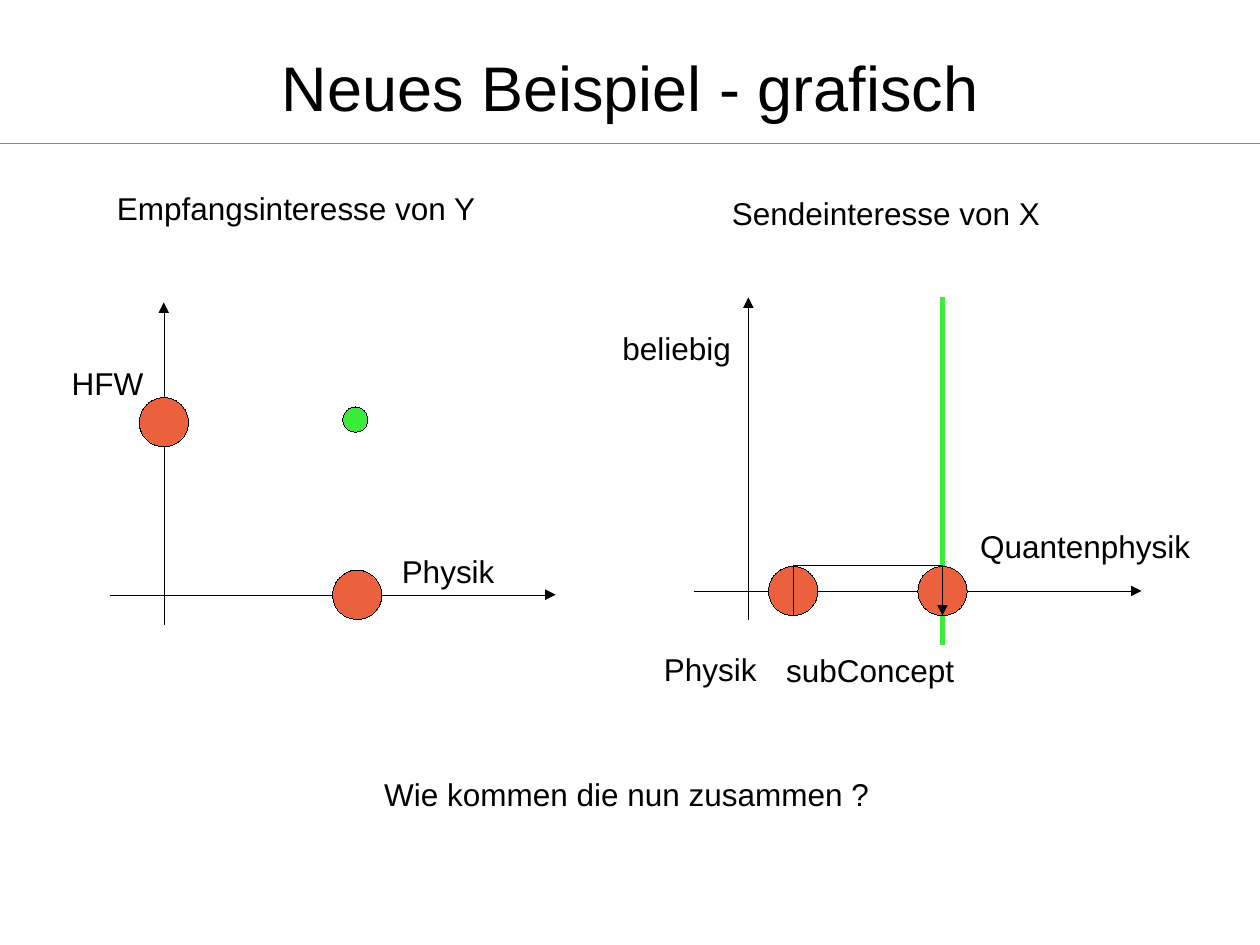
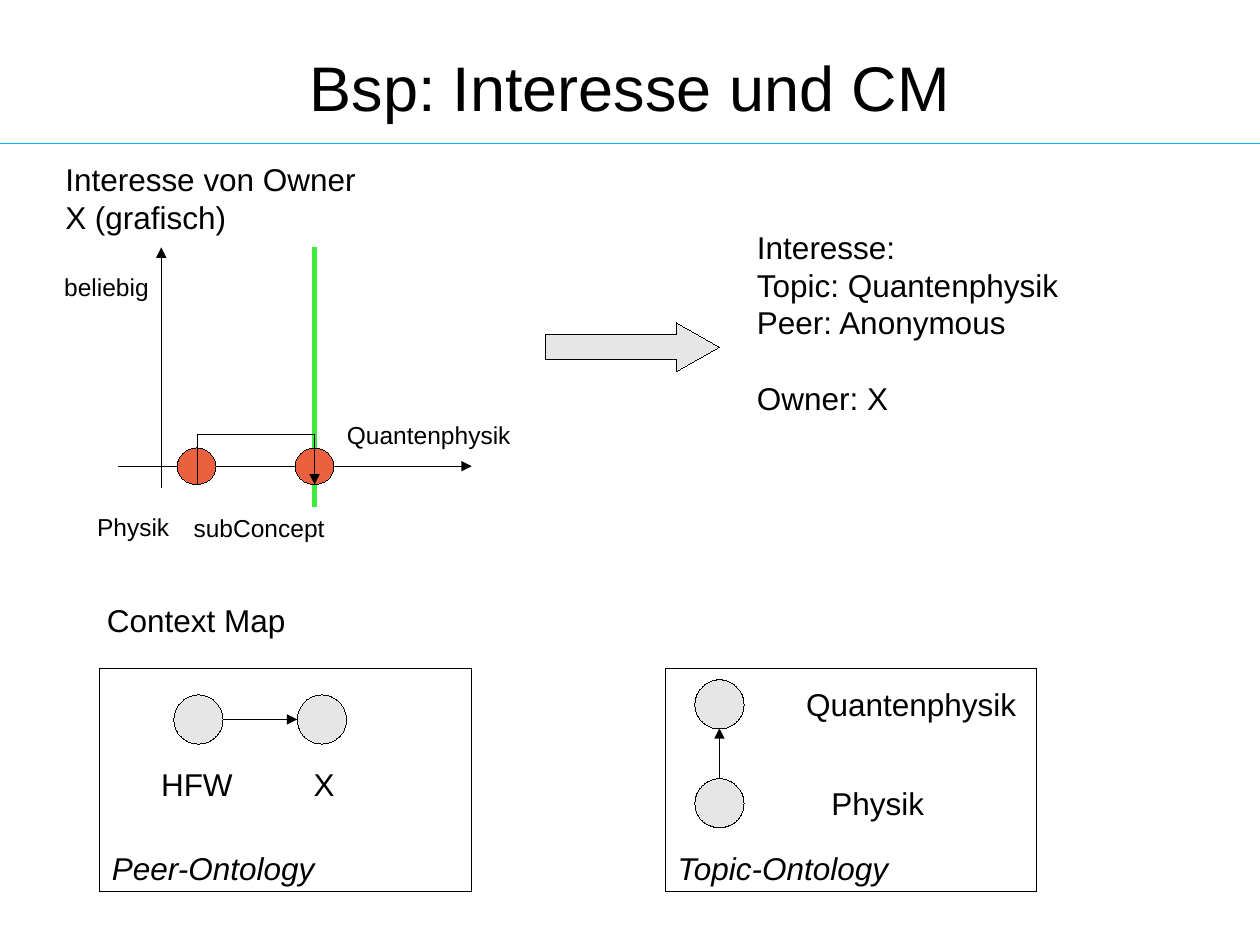
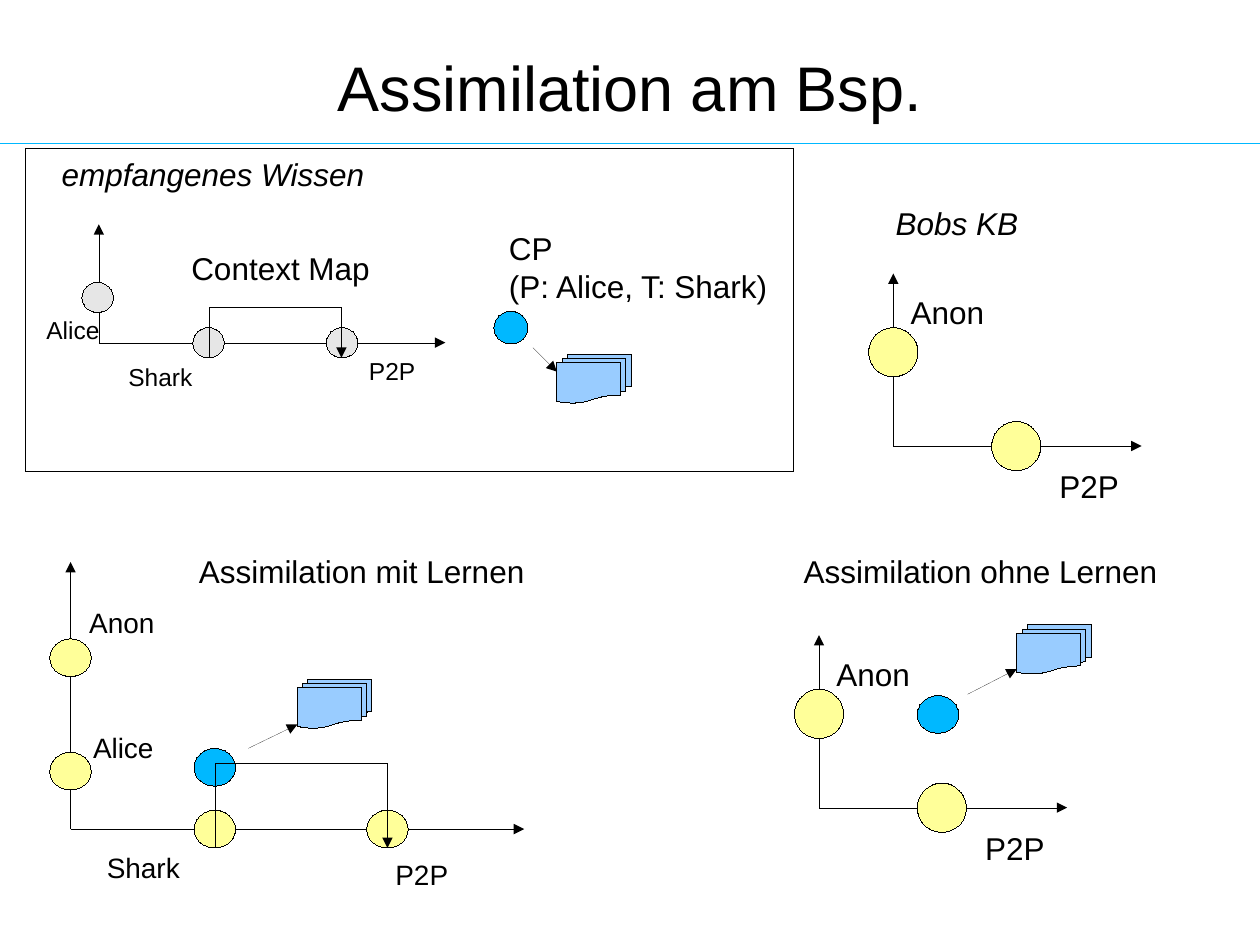
from dataclasses import dataclass

from lxml import etree
from pptx import Presentation
from pptx import util as u
from pptx.dml.color import RGBColor
from pptx.enum import shapes, text
from pptx.oxml.ns import qn

COLS, ROWS = 100, 75


@dataclass(frozen=True)
class Theme:
    font: str = "Arial"
    ink: str = "000000"
    rule: str = "00B8FF"
    concept: str = "EB613D"
    interest: str = "3DEB3D"
    known: str = "FFFF99"
    received: str = "E6E6E6"
    context_point: str = "00B8FF"
    document: str = "99CCFF"
    title: int = 36
    body: int = 18
    label: int = 16
    small: int = 14
    hairline: float = 0.01
    rule_width: float = 0.75
    bar: float = 2.83


class Deck:
    """Style and current slide; lengths are grid columns and rows."""

    def __init__(self, theme):
        self.theme = theme
        self.prs = Presentation()
        self.prs.slide_width, self.prs.slide_height = u.Inches(10), u.Inches(7.5)
        self.layout = self.prs.slide_layouts[5]
        self.slide = None
        self.place(self.layout.placeholders[0], 5, 3.85, 90, 6)

    def x(self, cols):
        return round(self.prs.slide_width * cols / COLS)

    def y(self, rows):
        return round(self.prs.slide_height * rows / ROWS)

    def place(self, sp, left, top, width, height):
        sp.left, sp.top = self.x(left), self.y(top)
        sp.width, sp.height = self.x(width), self.y(height)

    def new_slide(self, title):
        self.slide = self.prs.slides.add_slide(self.layout)
        self.line((0, 11.4), (COLS, 11.4), self.theme.rule, self.theme.rule_width)
        tf = self.slide.shapes.title.text_frame
        tf.margin_left = tf.margin_right = tf.margin_top = tf.margin_bottom = 0
        tf.vertical_anchor = text.MSO_ANCHOR.MIDDLE
        p = tf.paragraphs[0]
        p.alignment = text.PP_ALIGN.CENTER
        self.run(p, title, self.theme.title)

    def run(self, p, words, size, italic=False):
        r = p.add_run()
        r.text = words
        r.font.name, r.font.size = self.theme.font, u.Pt(size)
        r.font.italic = italic
        r.font.color.rgb = RGBColor.from_string(self.theme.ink)

    def text(self, words, left, top, width, size=None, italic=False, wrap=False, gap_before=None):
        """Write one paragraph per line; gap_before is the line set apart by a row."""
        size = size or self.theme.body
        lines = words.split("\n")
        slack = 0 if wrap else 0.5
        sp = self.slide.shapes.add_textbox(0, 0, 0, 0)
        self.place(sp, left, top, width + slack, 1 + len(lines) * size / 6)
        tf = sp.text_frame
        tf.word_wrap = wrap
        tf.auto_size = text.MSO_AUTO_SIZE.SHAPE_TO_FIT_TEXT
        for i, words_of_line in enumerate(lines):
            p = tf.add_paragraph() if i else tf.paragraphs[0]
            if i == gap_before:
                p.space_before = u.Pt(size * 1.2)
            self.run(p, words_of_line, size, italic)

    def outline(self, sp, fill=None):
        sp.shadow.inherit = False
        if fill:
            sp.fill.solid()
            sp.fill.fore_color.rgb = RGBColor.from_string(fill)
        else:
            sp.fill.background()
        self.stroke(sp.line, self.theme.ink, self.theme.hairline)

    def stroke(self, line, color, width):
        line.color.rgb = RGBColor.from_string(color)
        line.width = u.Pt(width)

    def arrowhead(self, sp):
        etree.SubElement(sp.element.spPr.find(qn("a:ln")), qn("a:tailEnd"), type="triangle")

    def shape(self, kind, left, top, width, height, fill=None):
        sp = self.slide.shapes.add_shape(kind, 0, 0, 0, 0)
        self.place(sp, left, top, width, height)
        self.outline(sp, fill)
        return sp

    def frame(self, *box):
        self.shape(shapes.MSO_SHAPE.RECTANGLE, *box)

    def node(self, cx, cy, fill, width=3.9, height=None):
        height = height or width
        self.shape(shapes.MSO_SHAPE.OVAL, cx - width / 2, cy - height / 2, width, height, fill)

    def line(self, start, end, color=None, width=None):
        cn = self.slide.shapes.add_connector(
            shapes.MSO_CONNECTOR.STRAIGHT,
            self.x(start[0]), self.y(start[1]), self.x(end[0]), self.y(end[1]))
        self.stroke(cn.line, color or self.theme.ink, width or self.theme.hairline)
        etree.SubElement(cn.element.spPr, qn("a:effectLst"))
        return cn

    def arrow(self, start, end):
        self.arrowhead(self.line(start, end))

    def bracket(self, left, right, base, rise=4):
        """Join two nodes by a path that rises, crosses and drops to an arrowhead."""
        top = self.y(base - rise)
        left, right, base = self.x(left), self.x(right), self.y(base)
        pen = self.slide.shapes.build_freeform(left, base)
        pen.add_line_segments([(left, top), (right, top), (right, base)], close=False)
        sp = pen.convert_to_shape()
        self.outline(sp)
        self.arrowhead(sp)

    def axes(self, ox, oy, right, up, left=0, down=0):
        self.arrow((ox, oy + down), (ox, oy - up))
        self.arrow((ox - left, oy), (ox + right, oy))

    def documents(self, left, top, start, end):
        self.shape(shapes.MSO_SHAPE.FLOWCHART_MULTIDOCUMENT, left, top, 5.9, 3.9, self.theme.document)
        self.arrow(start, end)


def sending_interest(deck, ox, oy, size, sx=1.0, sy=1.0):
    """Draw X's interest around an origin, scaled along each axis."""
    t = deck.theme
    physics, quantum = ox + 3.55 * sx, ox + 15.4 * sx
    deck.line((quantum, oy + 4.3 * sy), (quantum, oy - 23.3 * sy), t.interest, t.bar)
    deck.axes(ox, oy, 31.2 * sx, 23.3 * sy, 4.3 * sx, 2.3 * sy)
    for cx in (physics, quantum):
        deck.node(cx, oy, t.concept, 3.9 * sx, 3.9 * sy)
    deck.bracket(physics, quantum, oy + 1.95 * sy)
    for words, dx, dy, width in (
        ("beliebig", -11, -21.3, 10.6),
        ("Quantenphysik", 17.4, -5.6, 18.7),
        ("Physik", -7.7, 4.2, 9.3),
        ("subConcept", 2, 4.3, 15.3),
    ):
        deck.text(words, ox + dx * sx, oy + dy * sy, 2 + (width - 2) * size / t.body, size)


def bobs_knowledge(deck, ox, oy):
    deck.axes(ox, oy, 19.7, 13.7)
    deck.node(ox + 9.75, oy, deck.theme.known)
    deck.node(ox, oy - 7.45, deck.theme.known)
    deck.text("Anon", ox + 0.4, oy - 12.6, 7.8)
    deck.text("P2P", ox + 12.2, oy + 1.2, 6.7)


def example_slide(deck):
    t = deck.theme
    deck.new_slide("Neues Beispiel - grafisch")
    deck.text("Empfangsinteresse von Y", 8.3, 14.5, 33.9, wrap=True)
    deck.axes(13, 47.2, 31.1, 23.2, 4.3, 2.4)
    deck.node(13, 33.5, t.concept)
    deck.node(28.35, 47.2, t.concept)
    deck.node(28.2, 33.3, t.interest, 2)
    deck.text("HFW", 4.7, 28.4, 7.7)
    deck.text("Physik", 30.9, 43.3, 9.3)
    deck.text("Sendeinteresse von X", 57.1, 14.9, 33.9, wrap=True)
    sending_interest(deck, 59.4, 46.9, t.body)
    deck.text("Wie kommen die nun zusammen ?", 29.5, 61, 57.1, wrap=True)


def context_map_slide(deck):
    t = deck.theme
    deck.new_slide("Bsp: Interesse und CM")
    deck.text("Interesse von Owner X (grafisch)", 4.2, 12.2, 27.3, wrap=True)
    sending_interest(deck, 12.8, 37, t.small, 0.79, 0.745)
    block = deck.shape(shapes.MSO_SHAPE.RIGHT_ARROW, 43.3, 25.6, 13.8, 3.9, t.received)
    block.adjustments[0], block.adjustments[1] = 0.5, 0.88
    deck.text("Interesse:\nTopic: Quantenphysik\nPeer: Anonymous\nOwner: X",
              59.1, 17.6, 26.2, gap_before=3)
    deck.text("Context Map", 7.5, 47.2, 16.1)

    for left, name, width in ((7.9, "Peer-Ontology", 18.1), (52.8, "Topic-Ontology", 18.9)):
        deck.frame(left, 53.1, 29.5, 17.7)
        deck.text(name, left, 66.9, width, italic=True)
    for cx, cy in ((15.75, 57.1), (25.55, 57.1), (57.1, 55.9), (57.1, 63.75)):
        deck.node(cx, cy, t.received)
    deck.arrow((17.7, 57.1), (23.6, 57.1))
    deck.arrow((57.1, 61.8), (57.1, 57.8))
    deck.text("HFW", 11.8, 60.2, 7.7)
    deck.text("X", 23.9, 60.2, 3.6)
    deck.text("Quantenphysik", 63, 53.9, 18.7)
    deck.text("Physik", 65, 61.7, 9.3)


def received_knowledge(deck):
    t = deck.theme
    deck.frame(2, 11.8, 61, 25.6)
    deck.text("empfangenes Wissen", 3.9, 11.8, 26, italic=True)
    deck.text("Context Map", 14.2, 19.3, 16.1)
    deck.axes(7.85, 27.2, 27.5, 9.4)
    for cx, cy in ((16.55, 27.2), (27.15, 27.2), (7.75, 23.6)):
        deck.node(cx, cy, t.received, 2.5, 2.4)
    deck.bracket(16.6, 27.1, 28.4)
    for words, left, top, width in (
        ("Alice", 2.7, 24.5, 6.2), ("Shark", 9.2, 28.2, 7.1), ("P2P", 28.3, 27.8, 6),
    ):
        deck.text(words, left, top, width, t.small)
    deck.text("CP\n(P: Alice, T: Shark)", 39.4, 17.7, 23)
    deck.node(40.55, 26, t.context_point, 2.7, 2.6)
    deck.documents(44.2, 28.1, (42.3, 27.6), (44.2, 29.5))


def learning(deck):
    t = deck.theme
    ox, oy, shark, p2p = 5.6, 65.8, 17.05, 30.75
    deck.text("Assimilation mit Lernen", 14.8, 43.3, 27.8)
    deck.axes(ox, oy, 36, 21.2)
    for cx, cy, fill in (
        (ox, 61.2, t.known), (ox, 52.2, t.known), (shark, oy, t.known),
        (p2p, oy, t.known), (shark, 60.9, t.context_point),
    ):
        deck.node(cx, cy, fill, 3.3, 3)
    deck.bracket(shark, p2p, 67.3, 6.7)
    for words, left, top, width in (
        ("Anon", 6.1, 47.6, 7.2), ("Alice", 6.4, 57.5, 6.8),
        ("Shark", 7.5, 67, 7.8), ("P2P", 30.4, 67.6, 6.2),
    ):
        deck.text(words, left, top, width, t.label)
    deck.documents(23.6, 53.9, (19.7, 59.4), (23.6, 57.5))


def assimilation_slide(deck):
    deck.new_slide("Assimilation am Bsp.")
    received_knowledge(deck)
    deck.text("Bobs KB", 70.1, 15.7, 11.7, italic=True)
    bobs_knowledge(deck, 70.9, 35.4)
    learning(deck)
    deck.text("Assimilation ohne Lernen", 62.8, 43.3, 30)
    bobs_knowledge(deck, 65, 64.1)
    deck.node(74.45, 56.7, deck.theme.context_point, 3.3, 3)
    deck.documents(80.7, 49.6, (76.8, 55.1), (80.7, 53.1))


def main():
    deck = Deck(Theme())
    example_slide(deck)
    context_map_slide(deck)
    assimilation_slide(deck)
    deck.prs.save("out.pptx")


if __name__ == "__main__":
    main()
